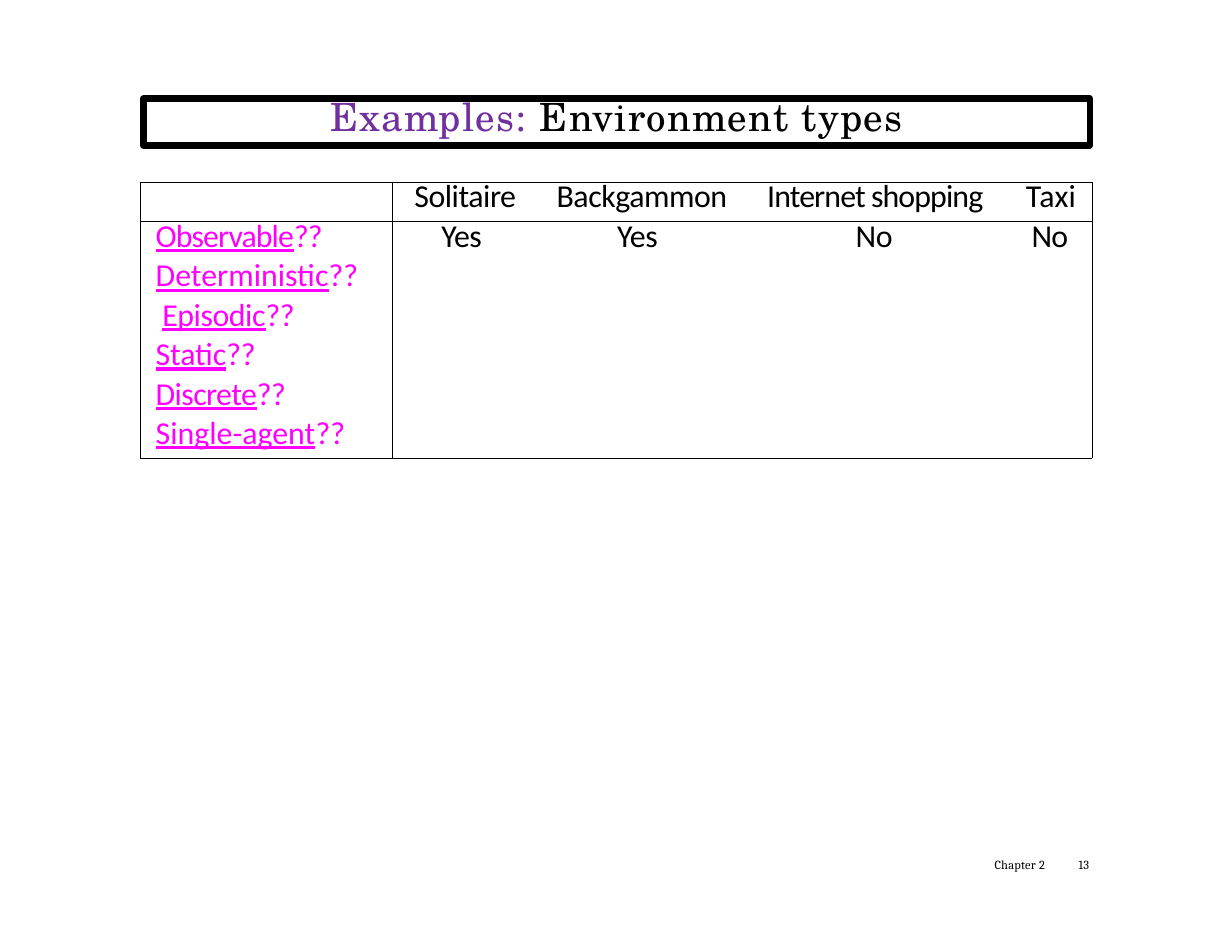
from dataclasses import dataclass

from lxml import etree
from pptx import Presentation
from pptx.dml.color import RGBColor
from pptx.enum.shapes import MSO_SHAPE
from pptx.enum.text import MSO_ANCHOR, PP_ALIGN
from pptx.oxml.ns import qn
from pptx.util import Inches, Pt

RECT = MSO_SHAPE.RECTANGLE
TOP = MSO_ANCHOR.TOP
LEFT, CENTER = PP_ALIGN.LEFT, PP_ALIGN.CENTER


@dataclass(frozen=True)
class Theme:
    ink: RGBColor = RGBColor(0, 0, 0)
    accent: RGBColor = RGBColor(0x70, 0x30, 0xA0)
    label: RGBColor = RGBColor(0xFF, 0, 0xFF)
    head: str = "TeX Gyre Schola"
    body: str = "Calibri"
    foot: str = "Cambria"
    big: float = 25
    mid: float = 20.5
    small: float = 8


THEME = Theme()


def write(para, text, font=THEME.body, size=THEME.mid, color=THEME.ink,
          track=0, under=False):
    """Add a run; track is letter spacing in points."""
    run = para.add_run()
    run.text = text
    run.font.name = font
    run.font.size = Pt(size)
    run.font.color.rgb = color
    run.font.underline = under
    run.font._element.set("spc", str(round(track * 100)))


def layout(para, align=LEFT, lead=None, indent=0, tabs=()):
    """Format a paragraph; an explicit zero indent would cancel its tabs."""
    para.alignment = align
    para.line_spacing = lead
    props = para._p.get_or_add_pPr()
    if indent:
        props.set("marL", str(Inches(indent)))
        props.set("indent", "0")
    if tabs:
        stops = etree.SubElement(props, qn("a:tabLst"))
        for stop in tabs:
            etree.SubElement(stops, qn("a:tab"), pos=str(Inches(stop)), algn="l")


def clear(frame):
    """Remove the insets of a text frame or cell."""
    frame.margin_left = frame.margin_right = 0
    frame.margin_top = frame.margin_bottom = 0


def add_title(slide, box):
    shape = slide.shapes.add_shape(RECT, *map(Inches, box))
    shape.shadow.inherit = False
    shape.fill.background()
    shape.line.color.rgb = THEME.ink
    shape.line.width = Pt(4.08)
    frame = shape.text_frame
    clear(frame)
    frame.vertical_anchor = TOP
    para = frame.paragraphs[0]
    layout(para, CENTER, Pt(26.4))
    for text, color in (("Examples: ", THEME.accent),
                        ("Environment types", THEME.ink)):
        write(para, text, THEME.head, THEME.big, color, 0.8)


def add_border(cell):
    props = cell._tc.get_or_add_tcPr()
    for n, side in enumerate(("lnL", "lnR", "lnT", "lnB")):
        line = etree.Element(qn("a:" + side), w=str(Pt(0.5)))
        fill = etree.SubElement(line, qn("a:solidFill"))
        etree.SubElement(fill, qn("a:srgbClr"), val=str(THEME.ink))
        props.insert(n, line)


def fill_row(cell, inset, tabs, lead, runs):
    cell.margin_left = Inches(inset)
    para = cell.text_frame.paragraphs[0]
    layout(para, LEFT, lead, tabs=tabs)
    for text, track in runs:
        write(para, text, track=track)


def fill_labels(cell, labels):
    frame = cell.text_frame
    for n, (text, indent, track) in enumerate(labels):
        para = frame.add_paragraph() if n else frame.paragraphs[0]
        layout(para, lead=1.01 if n else Pt(22.1), indent=indent)
        write(para, text, color=THEME.label, track=track, under=True)
        write(para, "??", color=THEME.label, track=track)


def add_grid(slide, box, cols, rows):
    frame = slide.shapes.add_table(len(rows), len(cols), *map(Inches, box))
    table = frame.table
    table.first_row = table.horz_banding = False
    for col, width in zip(table.columns, cols):
        col.width = Inches(width)
    for row, height in zip(table.rows, rows):
        row.height = Inches(height)
    for cell in table.iter_cells():
        clear(cell)
        cell.fill.background()
        add_border(cell)

    fill_row(table.cell(0, 1), 0.2, (1.27, 3.15, 5.46), Pt(21.8),
             (("Solitaire\tBackgammon\t", -0.3),
              ("Internet shopping\t", -0.6), ("Taxi", 0.2)))
    fill_row(table.cell(1, 1), 0.44, (1.57, 3.7, 5.27), Pt(22.1),
             (("Yes\tYes\tNo\t", -0.3), ("No", -0.4)))
    fill_labels(table.cell(1, 0), (
        ("Observable", 0.14, -0.6), ("Deterministic", 0.14, 0),
        ("Episodic", 0.2, -0.3), ("Static", 0.14, -0.1),
        ("Discrete", 0.14, -0.4), ("Single-agent", 0.14, 0)))


def add_note(slide, box, text, indent):
    shape = slide.shapes.add_textbox(*map(Inches, box))
    frame = shape.text_frame
    clear(frame)
    frame.word_wrap = True
    para = frame.paragraphs[0]
    layout(para, lead=Pt(8.6), indent=indent)
    write(para, text, THEME.foot, THEME.small, track=0.15)


def main():
    deck = Presentation()
    deck.slide_width, deck.slide_height = Inches(11), Inches(8.5)
    slide = deck.slides.add_slide(deck.slide_layouts[6])
    add_note(slide, (8.87, 7.67, 0.54, 0.14), "Chapter 2", 0.01)
    add_note(slide, (9.59, 7.67, 0.21, 0.14), "13", 0.04)
    add_title(slide, (1.28, 0.88, 8.45, 0.42))
    add_grid(slide, (1.25, 1.63, 8.5, 2.46), (2.25, 6.25), (0.35, 2.11))
    deck.save("out.pptx")


if __name__ == "__main__":
    main()
